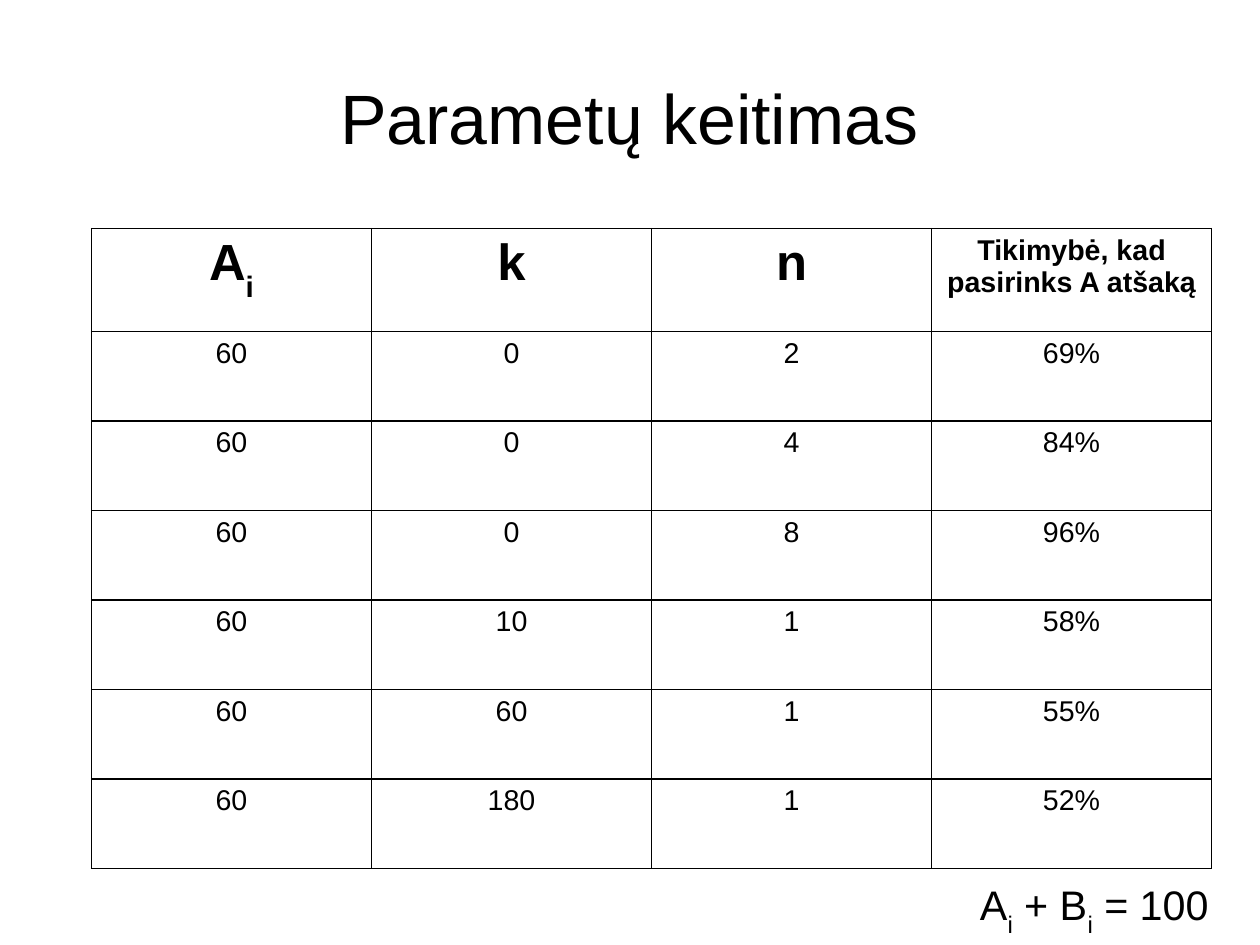
from lxml.etree import SubElement
from pptx import Presentation
from pptx.dml.color import RGBColor
from pptx.enum.text import MSO_ANCHOR, PP_ALIGN
from pptx.oxml.ns import qn
from pptx.util import Inches, Pt

FONT = "Arial"
BLACK = "000000"
CM_PER_INCH = 2.54
HEADINGS = [("A_i", 32), ("k", 32), ("n", 32),
            ("Tikimybė, kad pasirinks A atšaką", 18)]
TRIALS = [
    ("60", "0", "2", "69%"),
    ("60", "0", "4", "84%"),
    ("60", "0", "8", "96%"),
    ("60", "10", "1", "58%"),
    ("60", "60", "1", "55%"),
    ("60", "180", "1", "52%"),
]
TABLE_WIDTH = 9.8
TABLE_HEIGHT = 5.6
HEADING_HEIGHT = 0.9
COLUMN_WIDTH = TABLE_WIDTH / len(HEADINGS)
TRIAL_HEIGHT = (TABLE_HEIGHT - HEADING_HEIGHT) / len(TRIALS)


def color(value):
    """Turn a hex string into a colour."""
    return RGBColor.from_string(value)


def write(frame, text, size, bold=False):
    """Write one centred paragraph, with each i after an underscore lowered."""
    para = frame.paragraphs[0]
    para.alignment = PP_ALIGN.CENTER
    para.font.name = FONT
    para.font.size = Pt(size)
    para.font.bold = bold
    para.font.color.rgb = color(BLACK)
    for index, piece in enumerate(text.split("_i")):
        if index:
            subscript = para.add_run()
            subscript.text = "i"
            subscript.font._element.set("baseline", "-33000")
        if piece:
            para.add_run().text = piece


def add_text(page, text, size, left, top, width, height):
    """Add a text box without margins, centred both ways."""
    box = page.shapes.add_textbox(
        Inches(left), Inches(top), Inches(width), Inches(height))
    frame = box.text_frame
    frame.word_wrap = True
    frame.vertical_anchor = MSO_ANCHOR.MIDDLE
    frame.margin_left = frame.margin_right = Inches(0)
    frame.margin_top = frame.margin_bottom = Inches(0)
    write(frame, text, size)


def add_borders(cell):
    """Draw a thin black line on every side of a cell."""
    properties = cell._tc.get_or_add_tcPr()
    for side in ("a:lnL", "a:lnR", "a:lnT", "a:lnB"):
        line = SubElement(properties, qn(side), w=str(Pt(1)))
        fill = SubElement(line, qn("a:solidFill"))
        SubElement(fill, qn("a:srgbClr"), val=BLACK)


def fill_cell(cell, text, size, bold):
    """Give a cell its borders, empty fill and text."""
    add_borders(cell)
    cell.fill.background()
    write(cell.text_frame, text, size, bold)


def add_trials(page, left, top):
    """Add the table of parameters and resulting probabilities."""
    table = page.shapes.add_table(
        len(TRIALS) + 1, len(HEADINGS), Inches(left), Inches(top),
        Inches(TABLE_WIDTH), Inches(TABLE_HEIGHT)).table
    table.first_row = table.horz_banding = False
    for column in table.columns:
        column.width = Inches(COLUMN_WIDTH)
    for index, row in enumerate(table.rows):
        row.height = Inches(TRIAL_HEIGHT if index else HEADING_HEIGHT)
    for column, (heading, size) in enumerate(HEADINGS):
        fill_cell(table.cell(0, column), heading, size, True)
    for row, trial in enumerate(TRIALS, start=1):
        for column, value in enumerate(trial):
            fill_cell(table.cell(row, column), value, 18, False)


def main():
    """Build the slide and save it."""
    deck = Presentation()
    deck.slide_width = Inches(28 / CM_PER_INCH)
    deck.slide_height = Inches(21 / CM_PER_INCH)
    page = deck.slides.add_slide(deck.slide_layouts[6])
    add_text(page, "Parametų keitimas", 44, 0.55, 0.33, 9.92, 1.38)
    add_trials(page, 0.8, 2)
    add_text(page, "A_i + B_i = 100", 26, 8.25, 7.4, 2.65, 1.1)
    deck.save("out.pptx")


if __name__ == "__main__":
    main()
